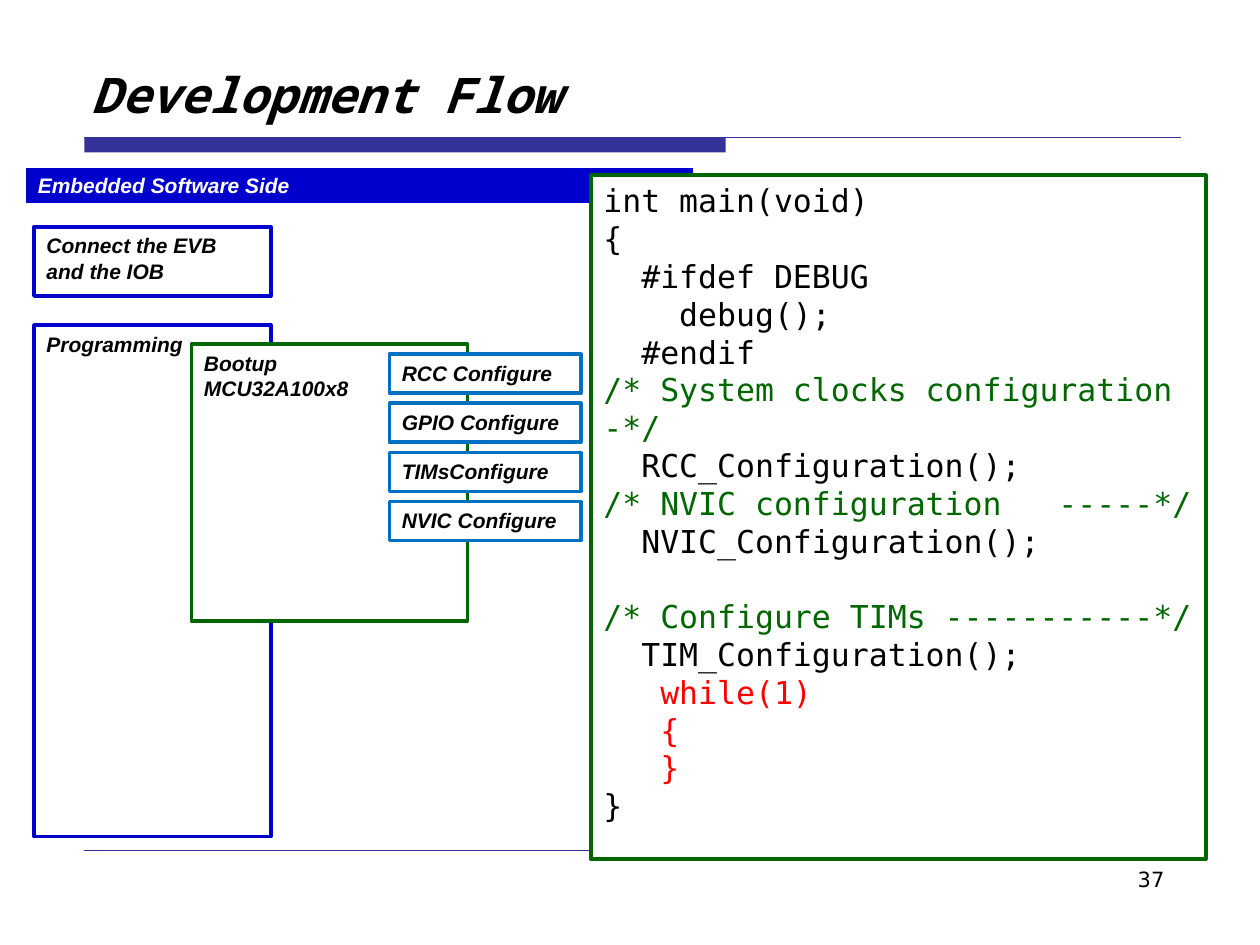
import pptx
import pptx.util
import pptx.dml.color
import pptx.enum.shapes
import pptx.enum.text
import pptx.oxml
import pptx.oxml.ns

RGBColor = pptx.dml.color.RGBColor
BLACK = RGBColor(0x00, 0x00, 0x00)
WHITE = RGBColor(0xFF, 0xFF, 0xFF)
RED = RGBColor(0xFF, 0x00, 0x00)
INDIGO = RGBColor(0x33, 0x33, 0x99)
BLUE = RGBColor(0x00, 0x00, 0xCC)
SKY = RGBColor(0x00, 0x70, 0xC0)
GREEN = RGBColor(0x00, 0x66, 0x00)

Pt = pptx.util.Pt
RECTANGLE = pptx.enum.shapes.MSO_SHAPE.RECTANGLE
STRAIGHT = pptx.enum.shapes.MSO_CONNECTOR.STRAIGHT
ANCHOR = pptx.enum.text.MSO_ANCHOR
ALIGN = pptx.enum.text.PP_ALIGN

LABEL = {"name": "Arial", "size": Pt(12), "bold": True, "italic": True}
TITLE = {"name": "Noto Sans Mono", "size": Pt(28), "bold": True, "italic": True}
NUMBER = {"name": "DejaVu Sans", "size": Pt(12)}
CODE = {"name": "DejaVu Sans Mono", "size": Pt(18)}
CODE_PITCH = Pt(21.6)

presentation = pptx.Presentation()
presentation.slide_width = pptx.util.Inches(10)
presentation.slide_height = pptx.util.Inches(7.5)
column = presentation.slide_width / 100
row = presentation.slide_height / 75
slide = presentation.slides.add_slide(presentation.slide_layouts[6])
shapes = slide.shapes


def place(left, top, width, height):
    return int(left * column), int(top * row), int(width * column), int(height * row)


def write(frame, lines, formats, colour=BLACK, align=ALIGN.LEFT):
    frame.word_wrap = True
    for index, text in enumerate(lines):
        paragraph = frame.add_paragraph() if index else frame.paragraphs[0]
        paragraph.alignment = align
        paragraph.text = text
        paragraph.font.color.rgb = colour
        for name, value in formats.items():
            setattr(paragraph.font, name, value)


bar = shapes.add_shape(RECTANGLE, *place(6.7, 10.9, 50.9, 1.2))
bar.shadow.inherit = False
bar.fill.solid()
bar.fill.fore_color.rgb = INDIGO
bar.line.fill.background()

for right, top, weight in [(93.7, 10.9, 0.75), (93.3, 67.5, 0.25)]:
    rule = shapes.add_connector(STRAIGHT, *place(6.7, top, right, top))
    rule.line.color.rgb = INDIGO
    rule.line.width = Pt(weight)
    rule._element.spPr.append(pptx.oxml.parse_xml(
        f"<a:effectLst {pptx.oxml.ns.nsdecls('a')}/>"))

number = shapes.add_textbox(*place(71.7, 68.3, 21.7, 5.2))
write(number.text_frame, ["37"], NUMBER, align=ALIGN.RIGHT)

title = shapes.add_textbox(*place(6.3, 2.8, 87.5, 7.5))
title.text_frame.vertical_anchor = ANCHOR.BOTTOM
write(title.text_frame, ["Development Flow"], TITLE)

table = shapes.add_table(1, 1, *place(2, 13.3, 53.1, 3)).table
table.first_row = False
table.horz_banding = False
header = table.cell(0, 0)
for side, weight in [("L", 1), ("R", 1), ("T", 1), ("B", 3)]:
    header._tc.get_or_add_tcPr().append(pptx.oxml.parse_xml(
        f"<a:ln{side} {pptx.oxml.ns.nsdecls('a')} w='{Pt(weight)}'>"
        f"<a:solidFill><a:srgbClr val='{WHITE}'/></a:solidFill></a:ln{side}>"))
header.fill.solid()
header.fill.fore_color.rgb = BLUE
header.vertical_anchor = ANCHOR.MIDDLE
write(header.text_frame, ["Embedded Software Side"], LABEL, WHITE)

boxes = [
    (place(2.7, 18, 18.8, 5.5), BLUE, ["Connect the EVB and the IOB"], LABEL),
    (place(2.7, 25.8, 18.8, 40.6), BLUE, ["Programming"], LABEL),
    (place(15.2, 27.3, 21.9, 22), GREEN, ["Bootup", "MCU32A100x8"], LABEL),
]
steps = ["RCC Configure", "GPIO Configure", "TIMsConfigure", "NVIC Configure"]
for index, step in enumerate(steps):
    boxes.append((place(30.9, 28.1 + 3.9 * index, 15.2, 3.1), SKY, [step], LABEL))

code = [
    "int main(void)",
    "{",
    "  #ifdef DEBUG",
    "    debug();",
    "  #endif",
    "/* System clocks configuration -*/",
    "  RCC_Configuration();",
    "/* NVIC configuration   -----*/",
    "  NVIC_Configuration();",
    "/* Configure TIMs -----------*/",
    "  TIM_Configuration();",
    "   while(1)",
    "   {",
    "   }",
    "}",
]
boxes.append((place(46.9, 13.9, 48.8, 54.3), GREEN, code, CODE))

for position, outline, lines, formats in boxes:
    box = shapes.add_shape(RECTANGLE, *position)
    box.shadow.inherit = False
    box.fill.solid()
    box.fill.fore_color.rgb = WHITE
    box.line.color.rgb = outline
    box.line.width = Pt(2)
    box.text_frame.vertical_anchor = ANCHOR.TOP
    write(box.text_frame, lines, formats)

for paragraph in box.text_frame.paragraphs:
    paragraph.line_spacing = CODE_PITCH
    if paragraph.text.startswith("/*"):
        paragraph.font.color.rgb = GREEN
    elif paragraph.text.startswith("   ") and "debug" not in paragraph.text:
        paragraph.font.color.rgb = RED
    if "Configure TIMs" in paragraph.text:
        paragraph.space_before = CODE_PITCH

presentation.save("out.pptx")
